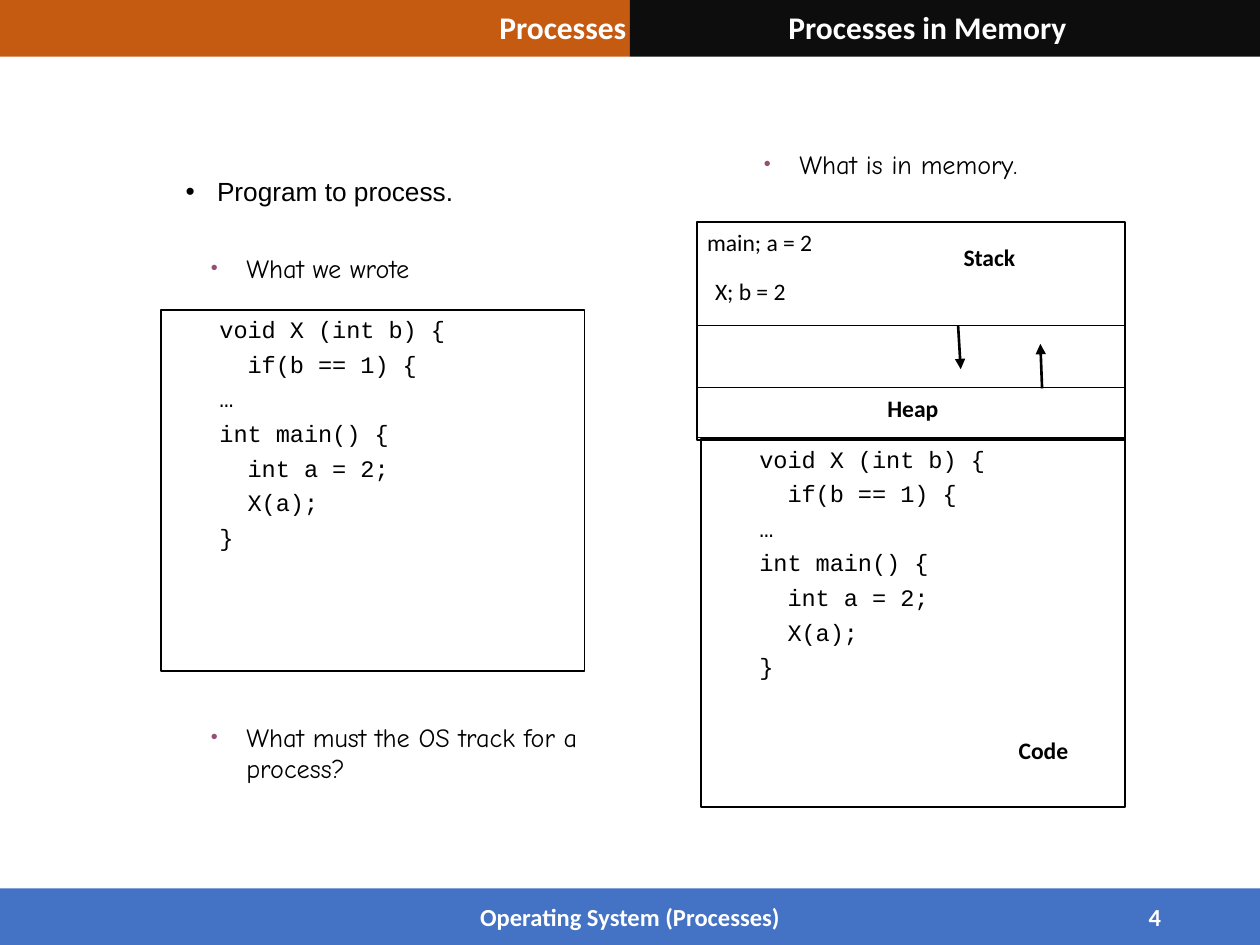
from lxml.etree import SubElement
from pptx import Presentation
from pptx.dml.color import RGBColor
from pptx.enum.shapes import MSO_CONNECTOR, MSO_SHAPE
from pptx.enum.text import MSO_ANCHOR, MSO_AUTO_SIZE, PP_ALIGN
from pptx.oxml.ns import qn
from pptx.util import Pt

BLACK, WHITE, PLUM = "000000", "FFFFFF", "954F72"
CODE = ["void X (int b) {", "  if(b == 1) {", "…", "int main() {",
        "  int a = 2;", "  X(a);", "}"]


def color(value):
    return RGBColor.from_string(value)


def write(shape, lines, size=13.5, font="Calibri", fill=BLACK, bold=False,
          align=PP_ALIGN.LEFT, anchor=MSO_ANCHOR.TOP, wrap=True,
          insets=(7.2, 3.6), margin=0, indent=0, before=0, spacing=1.0):
    """Fill a shape with one formatted paragraph per line."""
    frame = shape.text_frame
    frame.auto_size = MSO_AUTO_SIZE.NONE
    frame.word_wrap = wrap
    frame.vertical_anchor = anchor
    frame.margin_left = frame.margin_right = Pt(insets[0])
    frame.margin_top = frame.margin_bottom = Pt(insets[1])
    for index, line in enumerate(lines):
        paragraph = frame.add_paragraph() if index else frame.paragraphs[0]
        paragraph.alignment = align
        paragraph.space_before = Pt(before)
        paragraph.line_spacing = spacing
        properties = paragraph._p.get_or_add_pPr()
        properties.set("marL", str(Pt(margin)))
        properties.set("indent", str(Pt(indent)))
        run = paragraph.add_run()
        run.text = line
        run.font.size, run.font.name, run.font.bold = Pt(size), font, bold
        run.font.color.rgb = color(fill)


def place(shape, box):
    shape.left, shape.top, shape.width, shape.height = map(Pt, box)


def add_text(slide, text, box, **style):
    write(slide.shapes.add_textbox(*map(Pt, box)), [text], **style)


def add_rectangle(slide, box, fill=None, line=None):
    shape = slide.shapes.add_shape(MSO_SHAPE.RECTANGLE, *map(Pt, box))
    shape.shadow.inherit = False
    if fill:
        shape.fill.solid()
        shape.fill.fore_color.rgb = color(fill)
    else:
        shape.fill.background()
    if line:
        shape.line.color.rgb = color(line)
        shape.line.width = Pt(1)
    else:
        shape.line.fill.background()
    return shape


def add_bullet(shape, bullet_color=None, percent=100):
    properties = shape.text_frame.paragraphs[0]._p.get_or_add_pPr()
    if bullet_color:
        holder = SubElement(properties, qn("a:buClr"))
        SubElement(holder, qn("a:srgbClr"), val=bullet_color)
    SubElement(properties, qn("a:buSzPct"), val=str(percent * 1000))
    SubElement(properties, qn("a:buFont"), typeface="Arial")
    SubElement(properties, qn("a:buChar"), char="•")


def add_sub_bullet(slide, text, box):
    shape = slide.shapes.add_textbox(*map(Pt, box))
    write(shape, [text], size=15, font="Comic Neue", insets=(6, 3),
          margin=20.25, indent=-20.25, before=3)
    add_bullet(shape, PLUM, 75)


def add_arrow(slide, start, tip):
    arrow = slide.shapes.add_connector(MSO_CONNECTOR.STRAIGHT,
                                       *map(Pt, start + tip))
    arrow.line.color.rgb = color(BLACK)
    arrow.line.width = Pt(1.5)
    SubElement(arrow.line._get_or_add_ln(), qn("a:tailEnd"), type="triangle")
    SubElement(arrow._element.spPr, qn("a:effectLst"))


def add_code(slide, box):
    write(add_rectangle(slide, box, line=BLACK), CODE, font="Courier New",
          insets=(6, 3), margin=44, indent=-16.6, before=3.6)


def add_header(slide, box):
    left, top, width, height = box
    half = width / 2
    for index, fill in enumerate(("C55A11", "0D0D0D")):
        bar = add_rectangle(slide, (left + index * half, top, half, height), fill)
        # Bars go behind the title placeholder
        bar._element.getparent().insert(2 + index, bar._element)
    style = dict(size=18, fill=WHITE, bold=True)
    add_text(slide, "Processes", (left + 261, top + 1.2, 104, 29),
             align=PP_ALIGN.RIGHT, **style)
    title = slide.shapes.title
    place(title, (left + 439, top + 0.8, 182, 29))
    write(title, ["Processes in Memory"], align=PP_ALIGN.CENTER, **style)


def add_footer(slide, box):
    left, top, width, height = box
    add_rectangle(slide, box, "4472C4")
    style = dict(size=14, fill=WHITE, bold=True, anchor=MSO_ANCHOR.MIDDLE)
    add_text(slide, "Operating System (Processes)",
             (left + 238.5, top + 2, 243, 28.8), align=PP_ALIGN.CENTER, **style)
    add_text(slide, "4", (left + 508.5, top + 2, 162, 28.8),
             align=PP_ALIGN.RIGHT, **style)


def add_program(slide, box):
    left, top, width, height = box
    body = slide.placeholders[1]
    place(body, (left + 8, top, 515, 29))
    write(body, ["Program to process."], size=15, font="Arial", insets=(6, 3),
          margin=18, indent=-18, before=10, spacing=0.9)
    add_bullet(body)
    add_sub_bullet(slide, "What we wrote", (left + 22.5, top + 42, 190, 29))
    add_code(slide, (left, top + 78, width, 206.5))
    add_sub_bullet(slide, "What must the OS track for a process?",
                   (left + 22.5, top + 310, 276, 45))


def add_memory(slide, box):
    left, top, width, height = box
    add_sub_bullet(slide, "What is in memory.", (left + 32, top, 190, 29))

    # Memory regions, from the stack down to the code
    add_code(slide, (left + 2, top + 169.5, width - 2, 210))
    for offset, region_height in ((45.5, 59), (104.5, 64), (140, 30)):
        add_rectangle(slide, (left, top + offset, width, region_height),
                      line=BLACK)

    # Stack frames and region names
    for text, x, y, bold in (("main; a = 2", -1.5, 45, False),
                             ("X; b = 2", 3, 73, False),
                             ("Stack", 145, 54, True),
                             ("Heap", 101.5, 140, True),
                             ("Code", 176.5, 335.5, True)):
        add_text(slide, text, (left + x, top + y, 84, 26), bold=bold, wrap=False)

    # Growth of the stack and of the heap
    add_arrow(slide, (left + 149, top + 104.5), (left + 150.5, top + 129.5))
    add_arrow(slide, (left + 197, top + 140.5), (left + 196, top + 115))


def main():
    presentation = Presentation()
    presentation.slide_width, presentation.slide_height = Pt(720), Pt(540)
    slide = presentation.slides.add_slide(presentation.slide_layouts[1])
    add_header(slide, (0, 0, 720, 32.4))
    add_footer(slide, (0, 507.6, 720, 32.4))
    add_program(slide, (92, 99, 242, 355))
    add_memory(slide, (398.5, 81.5, 244.5, 380))
    presentation.save("out.pptx")


if __name__ == "__main__":
    main()
